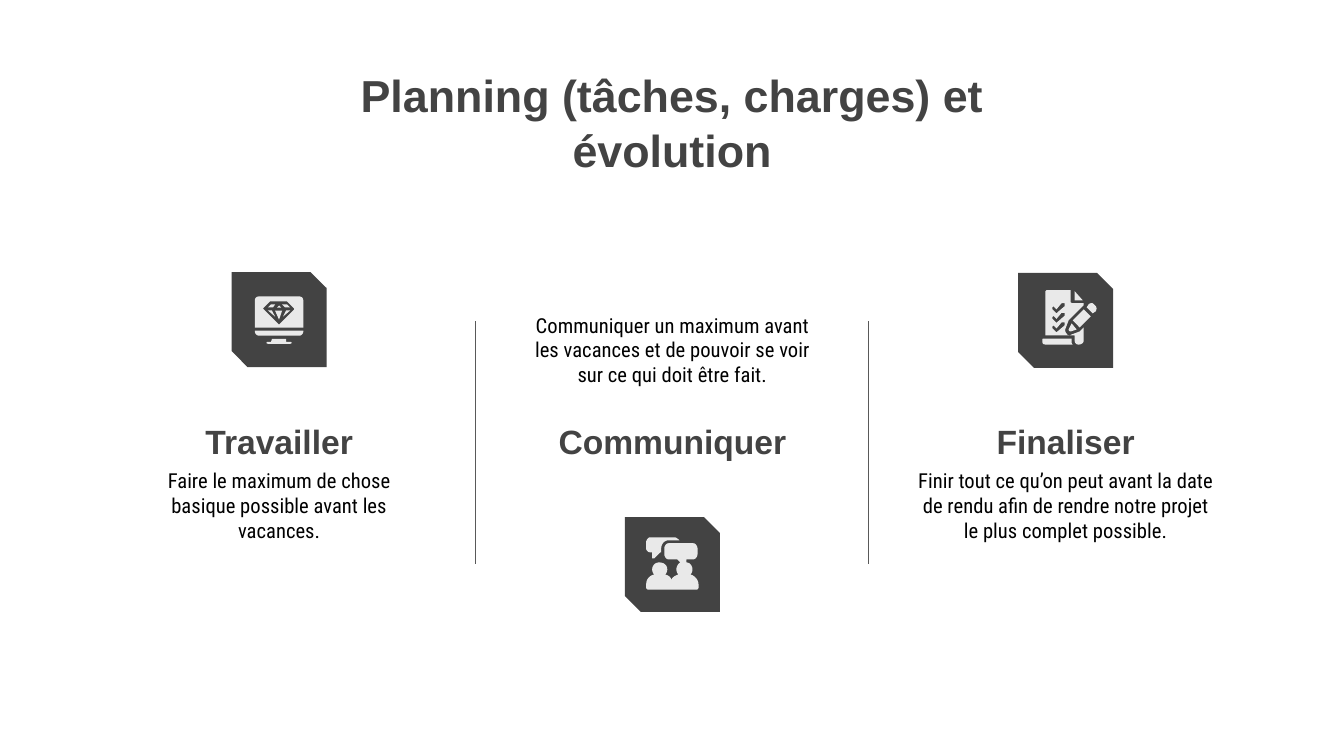
from pptx import Presentation
from pptx.dml.color import RGBColor
from pptx.enum.shapes import MSO_CONNECTOR, MSO_SHAPE
from pptx.enum.text import MSO_ANCHOR, MSO_AUTO_SIZE, PP_ALIGN
from pptx.oxml.ns import qn
from pptx.util import Cm, Pt
from lxml.etree import SubElement

DARK = RGBColor(0x43, 0x43, 0x43)
GREY = RGBColor(0x59, 0x59, 0x59)
PALE = RGBColor(0xE9, 0xE9, 0xE9)
BLACK = RGBColor(0, 0, 0)
UNIT = Cm(0.0254)


def write(box, text, size, font="Arial", color=DARK, bold=True, anchor=MSO_ANCHOR.TOP, space=1.0):
    frame = box.text_frame
    frame.word_wrap = True
    frame.auto_size = MSO_AUTO_SIZE.NONE
    frame.vertical_anchor = anchor
    frame.margin_left = frame.margin_right = Cm(0.34)
    frame.margin_top = frame.margin_bottom = Cm(0.34)
    line = frame.paragraphs[0]
    line.alignment = PP_ALIGN.CENTER
    line.line_spacing = space
    run = line.add_run()
    run.text = text
    run.font.size = Pt(size)
    run.font.name = font
    run.font.bold = bold
    run.font.color.rgb = color


def trace(text):
    points = []
    for step in text.split(","):
        nums = [float(n) * UNIT for n in step.split()]
        if len(nums) == 2:
            points.append(tuple(nums))
            continue
        x, y = points[-1]
        a, b, c, d, e, f = nums
        for k in range(1, 7):
            t = k / 6
            u = 1 - t
            w = (u**3, 3 * u * u * t, 3 * u * t * t, t**3)
            points.append((
                w[0] * x + w[1] * a + w[2] * c + w[3] * e,
                w[0] * y + w[1] * b + w[2] * d + w[3] * f,
            ))
    return points


TICK = [(44, 30), (46, 30), (46, 33), (39, 39), (38, 40), (37, 39),
        (34, 36), (34, 34), (35, 33), (36, 34), (38, 36), (43, 30)]
ticks = "|".join(
    ",".join(f"{x} {y + 9.5 * k}" for x, y in TICK) for k in range(3)
)

SCREEN = [
    "47 33,45 35,49 35",
    "39 32,36 35,41 35,43 32",
    "54 38,51 44,58 38",
    "43 38,47 47,50 38",
    "50 32,53 35,58 35,55 32",
    "36 38,43 44,40 38",
    "23 58,23 59,23 61 25 63 27 63,67 63,69 63 71 61 71 59,71 58",
    "55 29,56 30,62 36,62 37,48 51,47 52,46 51,32 37,31 36,32 35,37 30,38 29"
    "|27 24,25 24 23 25 23 28,23 55,71 55,71 28,71 25 69 24 67 24",
    "40 66,39 69,36 69,34 69 34 71 36 71,58 71,60 71 60 69 58 69,54 69,54 66",
]
TALK = [
    "25 20,23 20 21 23 21 25,21 31,21 33 23 35 25 35,27 35,27 40,27 41 27 41 28 41,"
    "29 41,35 35,36 35,36 31,36 27 39 23 43 23,54 23,53 22 51 20 49 20",
    "43 26,41 26 39 29 39 31,39 37,39 39 41 42 43 42,52 42,55 45,53 46 51 49 51 52,"
    "51 54 52 56 53 57,50 58 48 59 46 62,45 59 43 58 40 57,41 56 42 54 42 52,"
    "42 48 39 45 34 45,30 45 27 48 27 52,27 54 28 56 29 57,24 58 21 62 21 67,21 70,"
    "21 71 22 72 23 72,71 72,72 72 73 71 73 70,73 67,73 62 69 58 65 57,"
    "66 56 67 54 67 52,67 48 64 45 61 45,61 42,68 42,70 42 72 39 72 37,72 31,"
    "72 29 70 26 68 26",
]
PAPER = [
    ticks + "|28 17,27 18,27 62,56 62,56 67,56 70 58 71 60 71,63 71 65 69 65 67,65 54,"
    "61 58,53 61,52 61 52 62 51 62,50 62 48 61 48 60,47 59 46 57 47 55,50 47,65 32,"
    "65 30,54 30,53 30 52 29 52 29,52 17",
    "73 30,72 30 71 30 70 31,68 34,74 40,77 38,78 36 78 34 77 33,75 31,74 30 74 30 73 30",
    "53 50,50 56,50 57 51 58 52 58,58 56",
    "65 36,54 47,61 54,72 43",
    "56 18,56 27,64 27",
    "25 65,24 65 24 66 24 67,24 68,24 70 25 71 27 71,54 71,53 70 53 69 53 67,53 65",
]

STEPS = [
    ("Travailler", "Faire le maximum de chose basique possible avant les vacances.",
     7.59, 11.46, 6.86, SCREEN),
    ("Communiquer", "Communiquer un maximum avant les vacances et de pouvoir se voir "
     "sur ce qui doit être fait.", 8.2, 7.54, 13.03, TALK),
    ("Finaliser", "Finir tout ce qu’on peut avant la date de rendu afin de rendre notre "
     "projet le plus complet possible.", 8.2, 11.46, 6.88, PAPER),
]
LEFT, WIDE, SIDE = 2.08, 9.91, 2.39

deck = Presentation()
deck.slide_width = Cm(33.87)
deck.slide_height = Cm(19.05)
slide = deck.slides.add_slide(deck.slide_layouts[5])
shapes = slide.shapes

title = shapes.title
title.left, title.top, title.width, title.height = Cm(7.29), Cm(1.3), Cm(19.3), Cm(3.51)
write(title, "Planning (tâches, charges) et évolution", 32, anchor=MSO_ANCHOR.MIDDLE, space=1.03)

for i, (name, note, width, top, high, icon) in enumerate(STEPS):
    left = LEFT + WIDE * i
    mid = left + WIDE / 2
    head = shapes.add_textbox(Cm(left), Cm(10.39), Cm(WIDE), Cm(1.57))
    write(head, name, 24, anchor=MSO_ANCHOR.BOTTOM)
    body = shapes.add_textbox(Cm(mid - width / 2), Cm(top), Cm(width), Cm(3.71))
    write(body, note, 14.7, font="Roboto Condensed", color=BLACK, bold=False)

    if i:
        rule = shapes.add_connector(MSO_CONNECTOR.STRAIGHT, Cm(left), Cm(8.1), Cm(left), Cm(14.2))
        rule.line.color.rgb = GREY
        rule.line.width = Pt(0.75)
        SubElement(rule.element.spPr, qn("a:effectLst"))

    x, y = Cm(mid - SIDE / 2), Cm(high)
    tile = shapes.add_shape(MSO_SHAPE.SNIP_2_DIAG_RECTANGLE, x, y, Cm(SIDE), Cm(SIDE))
    tile.adjustments[0] = 0
    tile.adjustments[1] = 0.167
    tile.shadow.inherit = False
    tile.fill.solid()
    tile.fill.fore_color.rgb = DARK
    tile.line.fill.background()

    group = shapes.add_group_shape()
    for part in icon:
        loops = [trace(loop) for loop in part.split("|")]
        pen = group.shapes.build_freeform(*loops[0][0])
        for loop in loops:
            if loop is not loops[0]:
                pen.move_to(*loop[0])
            pen.add_line_segments(loop[1:], close=True)
        glyph = pen.convert_to_shape(x, y)
        glyph.shadow.inherit = False
        glyph.fill.solid()
        glyph.fill.fore_color.rgb = PALE
        glyph.line.fill.background()

deck.save("out.pptx")
